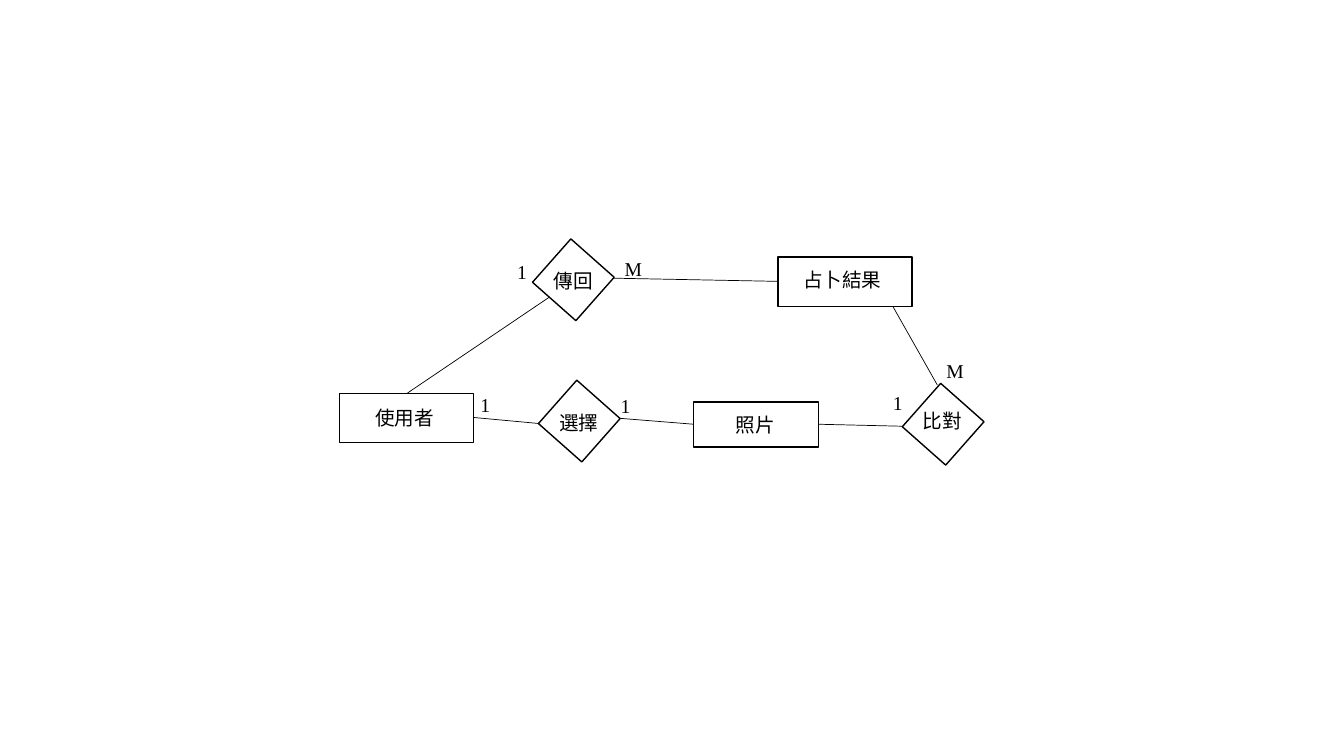
import pptx
import pptx.util
import pptx.dml.color
import pptx.enum.shapes
import pptx.enum.text
import pptx.oxml.ns
import lxml.etree

Cm, Pt = pptx.util.Cm, pptx.util.Pt

COLOURS = {"ink": "000000"}
CHINESE_FONT = "Noto Sans CJK SC"
LATIN_FONT = "Times New Roman"
TEXT_HEIGHT = 0.86
DIAMOND_SIZE = 1.46
DIAMOND_ROTATION = 311.5

# All lengths are in centimetres.
# Entities: name, box (left, top, width, height), caption (left, top, width, height)
ENTITIES = [
    ("使用者", (8.56, 9.91, 3.38, 1.24), (9.19, 10.11, 2.01, TEXT_HEIGHT)),
    ("照片", (17.48, 10.13, 3.15, 1.14), (18.21, 10.29, 1.65, 0.56)),
    ("占卜結果", (19.61, 6.48, 3.38, 1.24), (19.96, 6.63, 2.54, TEXT_HEIGHT)),
]
# Relationships: name, diamond (left, top), caption (left, top)
RELATIONSHIPS = [
    ("傳回", (13.72, 6.32), (13.56, 6.65)),
    ("比對", (23.04, 9.96), (22.86, 10.19)),
    ("選擇", (13.87, 9.88), (13.69, 10.24)),
]
# Cardinalities: text, left, top
CARDINALITIES = [
    ("1", 12.78, 6.43),
    ("M", 15.49, 6.35),
    ("M", 23.6, 8.92),
    ("1", 22.25, 9.73),
    ("1", 15.39, 9.8),
    ("1", 11.86, 9.78),
]
# Links: start x, start y, end x, end y
LINKS = [
    (13.84, 7.49, 10.26, 9.91),
    (19.61, 7.09, 15.47, 7.01),
    (23.62, 9.7, 22.5, 7.72),
    (22.73, 10.74, 20.62, 10.69),
    (17.48, 10.69, 15.6, 10.54),
    (13.56, 10.67, 11.94, 10.52),
]


def colour(name):
    return pptx.dml.color.RGBColor.from_string(COLOURS[name])


def set_line(shape, width):
    shape.line.color.rgb = colour("ink")
    shape.line.width = Pt(width)


def add_text(shapes, text, bounds, font_name, wrap):
    box = shapes.add_textbox(*map(Cm, bounds))
    frame = box.text_frame
    frame.text = text
    frame.word_wrap = wrap
    frame.auto_size = pptx.enum.text.MSO_AUTO_SIZE.SHAPE_TO_FIT_TEXT
    paragraph = frame.paragraphs[0]
    if wrap:
        paragraph.alignment = pptx.enum.text.PP_ALIGN.CENTER
    font = paragraph.runs[0].font
    font.size = Pt(14)
    font.color.rgb = colour("ink")
    font.name = font_name
    # East Asian characters take their typeface from a separate element
    properties = paragraph.runs[0]._r.get_or_add_rPr()
    east_asian = lxml.etree.SubElement(properties, pptx.oxml.ns.qn("a:ea"))
    east_asian.set("typeface", font_name)


def add_node(slide, text, box, caption, rotation=0):
    group = slide.shapes.add_group_shape()
    shape = group.shapes.add_shape(
        pptx.enum.shapes.MSO_SHAPE.RECTANGLE, *map(Cm, box))
    shape.rotation = rotation
    shape.shadow.inherit = False
    shape.fill.background()
    set_line(shape, 1)
    add_text(group.shapes, text, caption, CHINESE_FONT, True)


def add_link(slide, ends):
    link = slide.shapes.add_connector(
        pptx.enum.shapes.MSO_CONNECTOR.STRAIGHT, *map(Cm, ends))
    set_line(link, 0.5)
    lxml.etree.SubElement(link._element.spPr, pptx.oxml.ns.qn("a:effectLst"))


def main():
    presentation = pptx.Presentation()
    presentation.slide_width = Cm(33.87)
    presentation.slide_height = Cm(19.05)
    slide = presentation.slides.add_slide(presentation.slide_layouts[6])

    # Entities and relationships
    for text, box, caption in ENTITIES:
        add_node(slide, text, box, caption)
    for text, corner, caption_corner in RELATIONSHIPS:
        add_node(slide, text, (*corner, DIAMOND_SIZE, DIAMOND_SIZE),
                 (*caption_corner, 1.79, TEXT_HEIGHT), DIAMOND_ROTATION)

    # Links with their cardinalities
    for ends in LINKS:
        add_link(slide, ends)
    for text, left, top in CARDINALITIES:
        width = 0.97 if text == "M" else 0.76
        add_text(slide.shapes, text, (left, top, width, TEXT_HEIGHT),
                 LATIN_FONT, False)

    presentation.save("out.pptx")


main()
